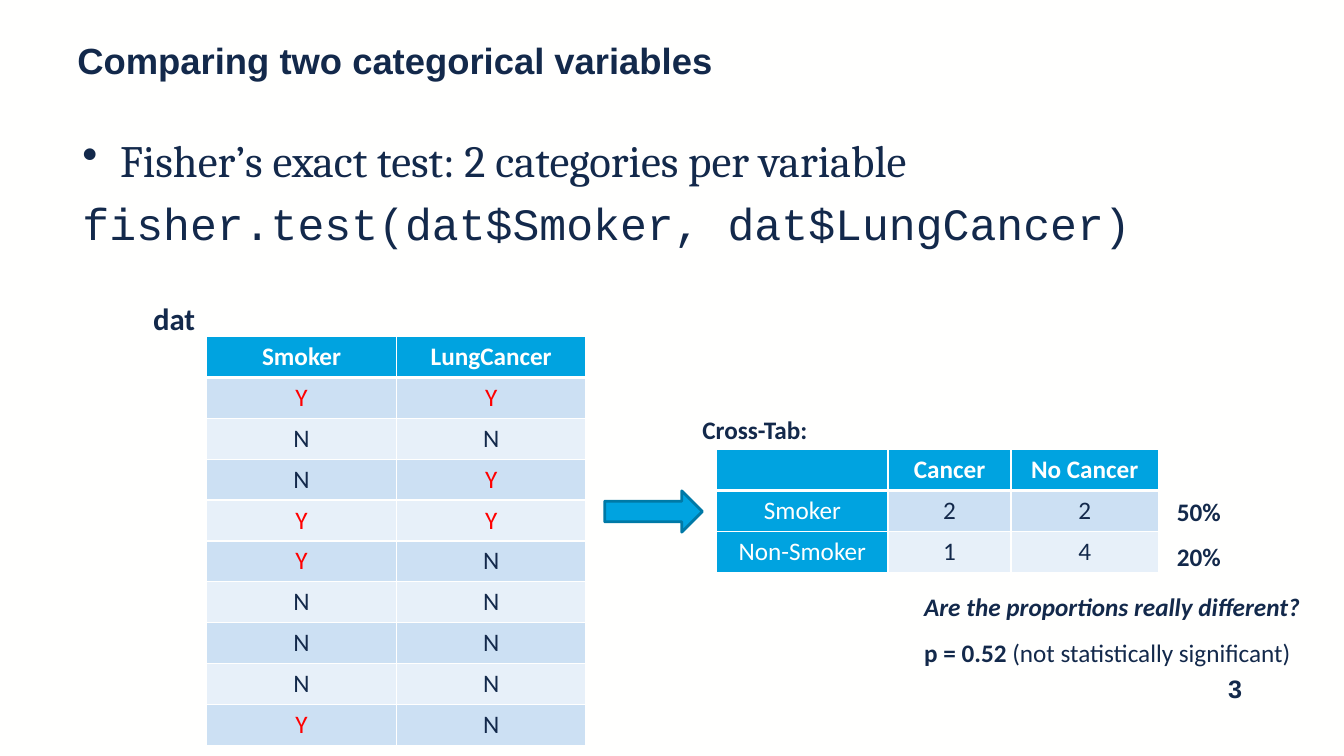
import pptx
import pptx.util
import pptx.dml.color
import pptx.enum.shapes
import pptx.enum.text
import pptx.oxml.ns
import lxml.etree

Cm = pptx.util.Cm
Pt = pptx.util.Pt
RGBColor = pptx.dml.color.RGBColor
ALIGN = pptx.enum.text.PP_ALIGN

PAPER = RGBColor(0xFF, 0xFF, 0xFE)
NAVY = RGBColor(0x13, 0x29, 0x4B)
BLUE = RGBColor(0x00, 0xA3, 0xE0)
EDGE = RGBColor(0x00, 0x79, 0xA6)
RED = RGBColor(0xFF, 0x00, 0x00)
BANDS = [RGBColor(0xCC, 0xE0, 0xF3), RGBColor(0xE7, 0xF0, 0xF9)]

ROW = 1.03
DATA = ["YY", "NN", "NY", "YY", "YN", "NN", "NN", "NN", "YN"]
CROSS = [["", "Cancer", "No Cancer"], ["Smoker", "2", "2"], ["Non-Smoker", "1", "4"]]


def style(para, size, face="Calibri", color=NAVY, bold=False):
    for run in para.runs:
        run.font.size = Pt(size)
        run.font.name = face
        run.font.bold = bold
        run.font.color.rgb = color


def add_note(slide, box, text, size, face="Calibri", bold=True, wrap=True):
    frame = slide.shapes.add_textbox(*map(Cm, box)).text_frame
    frame.word_wrap = wrap
    frame.text = text
    for para in frame.paragraphs:
        style(para, size, face, bold=bold)
    return frame


def add_bullet(para):
    props = para._p.get_or_add_pPr()
    props.set("marL", str(Cm(0.95)))
    props.set("indent", str(-Cm(0.95)))
    tag = pptx.oxml.ns.qn("a:buChar")
    lxml.etree.SubElement(props, tag).set("char", "•")


def add_edges(cell, base):
    qn = pptx.oxml.ns.qn
    props = cell._tc.get_or_add_tcPr()
    for side, width in (("L", 1), ("R", 1), ("T", 1), ("B", base)):
        line = lxml.etree.SubElement(props, qn("a:ln" + side), w=str(Pt(width)))
        fill = lxml.etree.SubElement(line, qn("a:solidFill"))
        lxml.etree.SubElement(fill, qn("a:srgbClr"), val=str(PAPER))


def add_grid(slide, left, top, widths, rows, side_head=False):
    table = slide.shapes.add_table(
        len(rows), len(widths), Cm(left), Cm(top), Cm(sum(widths)), Cm(ROW * len(rows))
    ).table
    table.horz_banding = False
    for col, width in zip(table.columns, widths):
        col.width = Cm(width)
    for i, row in enumerate(rows):
        table.rows[i].height = Cm(ROW)
        for j, text in enumerate(row):
            cell = table.cell(i, j)
            head = i == 0 or (side_head and j == 0)
            add_edges(cell, 3 if i == 0 else 1)
            cell.fill.solid()
            cell.fill.fore_color.rgb = BLUE if head else BANDS[(i - 1) % 2]
            cell.text_frame.text = text
            para = cell.text_frame.paragraphs[0]
            para.alignment = ALIGN.CENTER
            color = PAPER if head else RED if text == "Y" else NAVY
            style(para, 18, color=color, bold=i == 0)


def add_arrow(slide, box):
    kind = pptx.enum.shapes.MSO_SHAPE.RIGHT_ARROW
    arrow = slide.shapes.add_shape(kind, *map(Cm, box))
    arrow.shadow.inherit = False
    arrow.fill.solid()
    arrow.fill.fore_color.rgb = BLUE
    arrow.line.color.rgb = EDGE
    arrow.line.width = Pt(2)


def add_body(slide):
    text = "Fisher’s exact test: 2 categories per variable\nfisher.test(dat$Smoker, dat$LungCancer)"
    frame = add_note(slide, (1.83, 3.23, 29.21, 12.09), text, 32, "Cambria", bold=False)
    point, code = frame.paragraphs
    add_bullet(point)
    code.space_before = Pt(6.4)
    style(code, 32, "Courier New")


def add_result(slide):
    text = "Are the proportions really different?\np = 0.52 "
    frame = add_note(slide, (23.04, 14.78, 10.16, 2.95), text, 18)
    ask, value = frame.paragraphs
    ask.runs[0].font.italic = True
    value.line_spacing = 1.5
    value.add_run().text = "(not statistically significant)"
    style(value, 18)
    value.runs[0].font.bold = True


def main():
    deck = pptx.Presentation()
    deck.slide_width, deck.slide_height = Cm(33.87), Cm(19.05)
    slide = deck.slides.add_slide(deck.slide_layouts[6])
    slide.background.fill.solid()
    slide.background.fill.fore_color.rgb = PAPER

    title = add_note(slide, (1.7, 0.76, 30.48, 1), "Comparing two categorical variables", 26, "Arial")
    title.margin_top = Cm(0.2)
    add_body(slide)
    add_grid(slide, 5.21, 8.48, [4.78, 4.78], [["Smoker", "LungCancer"]] + DATA)
    add_grid(slide, 18.06, 11.33, [4.32, 3.1, 3.71], CROSS, side_head=True)
    rates = add_note(slide, (29.41, 12.37, 1.63, 2.18), "50%\n20%", 18, wrap=False)
    rates.paragraphs[1].line_spacing = 1.5
    add_result(slide)
    add_arrow(slide, (15.24, 12.37, 2.46, 1.04))
    add_note(slide, (17.45, 10.31, 3.23, 1.02), "Cross-Tab:", 18, wrap=False)
    number = add_note(slide, (28.83, 16.84, 2.72, 1.02), "3", 18, "Arial")
    number.paragraphs[0].alignment = ALIGN.RIGHT
    add_note(slide, (3.61, 7.44, 8.64, 1.19), "dat", 22)
    deck.save("out.pptx")


if __name__ == "__main__":
    main()
